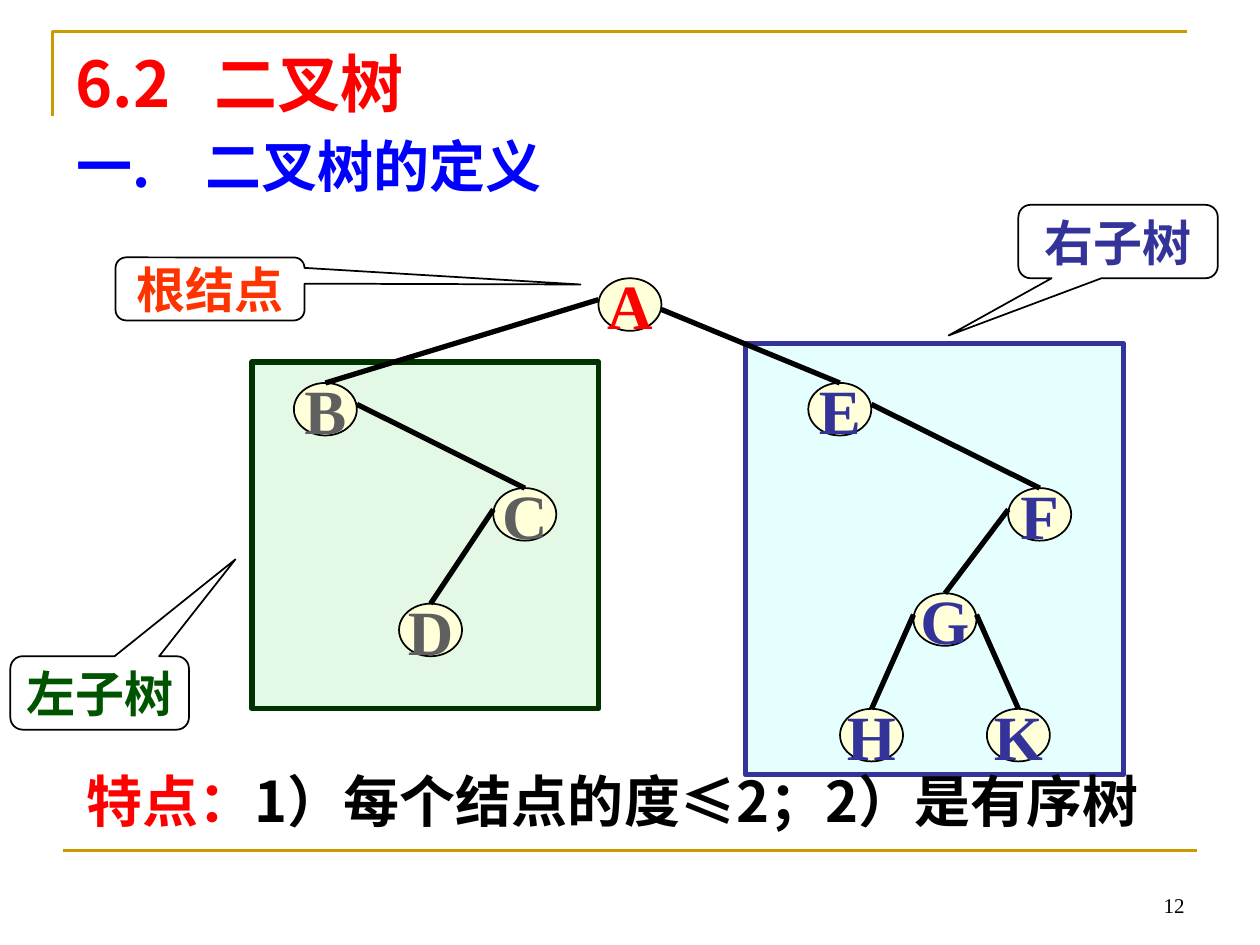
import pptx
import pptx.dml.color
import pptx.enum.shapes
import pptx.enum.text
import pptx.oxml.ns
import pptx.util
from lxml import etree

Cm, Pt = pptx.util.Cm, pptx.util.Pt
RGB = pptx.dml.color.RGBColor
SHAPE = pptx.enum.shapes.MSO_SHAPE
ALIGN = pptx.enum.text.PP_ALIGN
ANCHOR = pptx.enum.text.MSO_ANCHOR
qn = pptx.oxml.ns.qn

GOLD = RGB(0xCC, 0x99, 0x00)
RED = RGB(0xFF, 0x00, 0x00)
ORANGE_RED = RGB(0xFF, 0x33, 0x00)
BLUE = RGB(0x00, 0x00, 0xFF)
INDIGO = RGB(0x33, 0x33, 0x99)
GREEN = RGB(0x00, 0x54, 0x00)
DARK_GREEN = RGB(0x00, 0x33, 0x00)
PALE_GREEN = RGB(0xCA, 0xF2, 0xCE)
PALE_CYAN = RGB(0xCC, 0xFF, 0xFF)
CREAM = RGB(0xFF, 0xFF, 0xD9)
GRAY = RGB(0x5F, 0x5F, 0x5F)
BLACK = RGB(0x00, 0x00, 0x00)
WHITE = RGB(0xFF, 0xFF, 0xFF)

SANS, SERIF = "Noto Sans CJK SC", "Times New Roman"
NODE_W, NODE_H = 1.27, 1.06


class TreeSlide:
    """Holds the slide and the style of its elements."""

    def __init__(self, slide):
        self.slide = slide
        self.shapes = slide.shapes

    def set_text(self, shape, runs, size, font=SANS, bold=True, align=ALIGN.LEFT,
                 anchor=ANCHOR.TOP, wrap=True, tab=None):
        frame = shape.text_frame
        frame_format = {"word_wrap": wrap, "vertical_anchor": anchor,
                        "auto_size": pptx.enum.text.MSO_AUTO_SIZE.NONE}
        for key, value in frame_format.items():
            setattr(frame, key, value)
        paragraph = frame.paragraphs[0]
        paragraph.alignment = align
        if tab:
            tabs = etree.SubElement(paragraph._p.get_or_add_pPr(), qn("a:tabLst"))
            etree.SubElement(tabs, qn("a:tab"), pos=str(Cm(tab)), algn="l")
        for text, color in runs:
            run = paragraph.add_run()
            run.text = text
            for key, value in {"name": font, "size": Pt(size), "bold": bold}.items():
                setattr(run.font, key, value)
            run.font.color.rgb = color
            if font == SANS:
                etree.SubElement(run._r.get_or_add_rPr(), qn("a:ea"), typeface=font)

    def title(self, box, text, color, **style):
        title = self.shapes.title
        for key, value in zip(("left", "top", "width", "height"), box):
            setattr(title, key, Cm(value))
        self.set_text(title, [(text, color)], **style)

    def text(self, box, runs, **style):
        self.set_text(self.shapes.add_textbox(*map(Cm, box)), runs, **style)

    def block(self, kind, box, fill, line, width, opacity=None):
        shape = self.shapes.add_shape(kind, *map(Cm, box))
        shape.shadow.inherit = False
        shape.fill.solid()
        shape.fill.fore_color.rgb = fill
        shape.line.color.rgb = line
        shape.line.width = Pt(width)
        if opacity:
            color = shape._element.spPr.find(qn("a:solidFill"))[0]
            etree.SubElement(color, qn("a:alpha"), val=str(opacity * 1000))
        return shape

    def node(self, letter, x, y, color):
        box = (x - NODE_W / 2, y - NODE_H / 2, NODE_W, NODE_H)
        oval = self.block(SHAPE.OVAL, box, CREAM, BLACK, 1)
        self.set_text(oval, [(letter, color)], size=36, font=SERIF,
                      align=ALIGN.CENTER, anchor=ANCHOR.MIDDLE, wrap=False)
        return oval

    def callout(self, box, text, color, tip):
        bubble = self.block(SHAPE.ROUNDED_RECTANGULAR_CALLOUT, box, WHITE, BLACK, 1)
        for index, value in enumerate(tip):
            bubble.adjustments[index] = value
        self.set_text(bubble, [(text, color)], size=28, font=SERIF,
                      align=ALIGN.CENTER, anchor=ANCHOR.MIDDLE, wrap=False)

    def line(self, start, end, color, width):
        line = self.shapes.add_connector(
            pptx.enum.shapes.MSO_CONNECTOR.STRAIGHT, *map(Cm, start + end))
        line.line.color.rgb = color
        line.line.width = Pt(width)
        etree.SubElement(line._element.spPr, qn("a:effectLst"))
        return line

    def outline(self, points, color, width):
        start, *rest = [tuple(map(Cm, point)) for point in points]
        builder = self.shapes.build_freeform(*start)
        builder.add_line_segments(rest, close=False)
        shape = builder.convert_to_shape()
        shape.shadow.inherit = False
        shape.fill.background()
        shape.line.color.rgb = color
        shape.line.width = Pt(width)


def main():
    deck = pptx.Presentation()
    deck.slide_width, deck.slide_height = Cm(25.4), Cm(19.05)
    page = TreeSlide(deck.slides.add_slide(deck.slide_layouts[5]))

    # Frame lines and page number
    page.outline([(1.06, 2.33), (1.06, 0.63), (23.92, 0.63)], GOLD, 1.5)
    page.line((1.27, 17.14), (24.13, 17.14), GOLD, 1.5)
    page.text((18.2, 17.36, 5.93, 1.27), [("12", BLACK)], size=12, font=SERIF,
              bold=False, align=ALIGN.RIGHT, anchor=ANCHOR.BOTTOM)

    # Headings
    page.title((1.27, 0.76, 22.86, 2.31), "6.2\t二叉树", RED, size=36, tab=2.8)
    page.text((1.3, 2.52, 20.24, 1.62), [("一.\t二叉树的定义", BLUE)], size=32, tab=2.6)

    # Subtree areas
    page.block(SHAPE.RECTANGLE, (15.03, 6.93, 7.62, 8.69), PALE_CYAN, INDIGO, 3, 50)
    page.block(SHAPE.RECTANGLE, (5.08, 7.3, 6.99, 6.99), PALE_GREEN, DARK_GREEN, 3, 50)

    # Tree nodes, placed by their centres
    centres = {
        "A": (12.7, 6.14, RED),
        "B": (6.56, 8.25, GRAY), "C": (10.58, 10.37, GRAY), "D": (8.68, 12.7, GRAY),
        "E": (16.93, 8.25, INDIGO), "F": (20.96, 10.37, INDIGO),
        "G": (19.05, 12.49, INDIGO),
        "H": (17.57, 14.82, INDIGO), "K": (20.53, 14.82, INDIGO),
    }
    nodes = {letter: page.node(letter, *place) for letter, place in centres.items()}

    # Branches run from the parent's side to the top of the child
    for parent, child in ("AB", "BC", "CD", "AE", "EF", "FG", "GH", "GK"):
        x, y, _ = centres[parent]
        child_x, child_y, _ = centres[child]
        side = NODE_W / 2 if child_x > x else -NODE_W / 2
        rise = -0.1 if parent + child == "AE" else 0.1
        branch = page.line((x + side, y - rise), (child_x, child_y - NODE_H / 2), BLACK, 3)
        branch.end_connect(nodes[child], 0)

    # Callouts
    page.callout((2.33, 5.19, 3.81, 1.27), "根结点", ORANGE_RED, (1.96, -0.07))
    page.callout((0.21, 13.23, 3.6, 1.48), "左子树", GREEN, (0.76, -1.82))
    page.callout((20.53, 4.13, 4.02, 1.48), "右子树", INDIGO, (-0.85, 1.28))

    # Properties
    page.text((0.66, 15.32, 23.39, 1.62),
              [("特点：", RED), ("1）每个结点的度≤2；2）是有序树", BLACK)],
              size=32, align=ALIGN.CENTER, wrap=False)

    deck.save("out.pptx")


if __name__ == "__main__":
    main()
